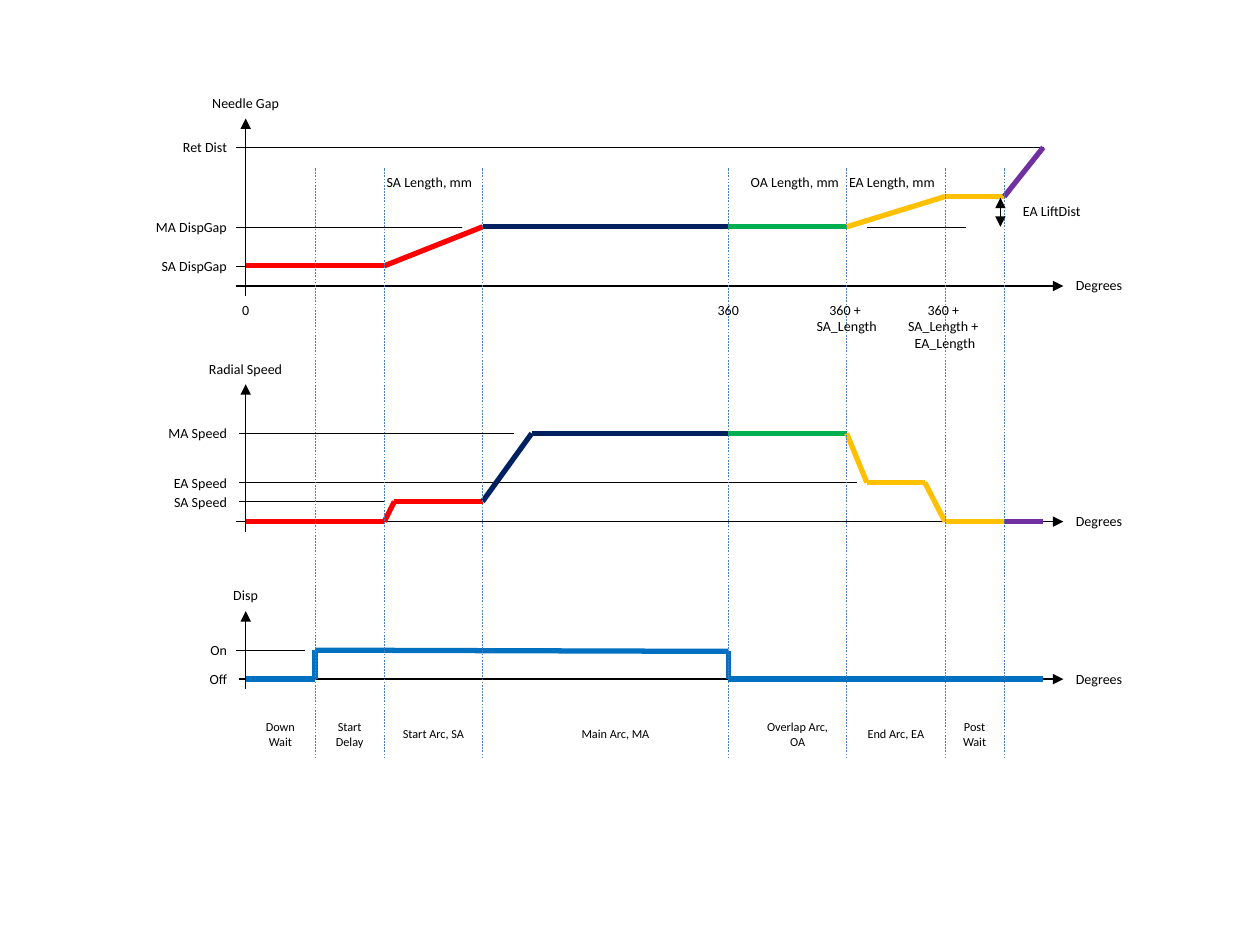
from itertools import pairwise
from lxml import etree
from pptx import Presentation
from pptx.dml.color import RGBColor
from pptx.enum.dml import MSO_LINE
from pptx.enum.shapes import MSO_CONNECTOR
from pptx.enum.text import MSO_ANCHOR, PP_ALIGN
from pptx.oxml.ns import qn
from pptx.util import Inches, Pt

LEFT, MID, RIGHT = PP_ALIGN.LEFT, PP_ALIGN.CENTER, PP_ALIGN.RIGHT
TOP, CENTER = MSO_ANCHOR.TOP, MSO_ANCHOR.MIDDLE
DASH, DOT = MSO_LINE.DASH, MSO_LINE.ROUND_DOT
STRAIGHT = MSO_CONNECTOR.STRAIGHT

THEME = {
    "font": "Calibri", "label": 8, "phase": 7,
    "thin": 0.25, "axis": 0.75, "trace": 3,
    "ink": "000000", "guide": "4B7EBC",
    "start": "FF0000", "main": "002060", "over": "00B050",
    "end": "FFC000", "lift": "7030A0", "disp": "0070C0",
}

# Phase borders along the shared degree axis
DOWN, DELAY, START, MAIN, OVER, END, POST, LAST = (
    1.95, 2.5, 3.05, 3.83, 5.78, 6.72, 7.5, 7.97)
STOP, TIP = 8.28, 8.44
GUIDES = (DELAY, START, MAIN, OVER, END, POST, LAST)
SPLIT = 5.94  # where the Main Arc label ends and the Overlap Arc label starts

PHASES = [
    (DOWN, DELAY, "Down\nWait"), (DELAY, START, "Start Delay"),
    (START, MAIN, "Start Arc, SA"), (MAIN, SPLIT, "Main Arc, MA"),
    (SPLIT, END, "Overlap Arc, OA"), (END, POST, "End Arc, EA"),
    (POST, LAST, "Post\nWait"),
]

# levels: name, y, dotted line from, to; traces: colour, points
CHARTS = [
    {"title": "Needle Gap", "top": 0.94, "base": 2.27, "left": 1.87,
     "levels": [("SA DispGap", 2.11, 1.87, DOWN),
                ("MA DispGap", 1.8, 1.87, 3.67),
                ("Ret Dist", 1.17, 1.87, STOP)],
     "traces": [("start", [(DOWN, 2.11), (START, 2.11), (MAIN, 1.8)]),
                ("main", [(MAIN, 1.8), (OVER, 1.8)]),
                ("over", [(OVER, 1.8), (END, 1.8)]),
                ("end", [(END, 1.8), (POST, 1.56), (LAST, 1.56)]),
                ("lift", [(LAST, 1.56), (STOP, 1.17)])]},
    {"title": "Radial Speed", "top": 3.05, "base": 4.14, "left": 1.87,
     "levels": [("SA Speed", 3.98, 1.9, START),
                ("EA Speed", 3.83, 1.9, 6.8),
                ("MA Speed", 3.44, 1.9, 4.07)],
     "traces": [("start", [(DOWN, 4.14), (START, 4.14),
                           (3.13, 3.98), (MAIN, 3.98)]),
                ("main", [(MAIN, 3.98), (4.22, 3.44), (OVER, 3.44)]),
                ("over", [(OVER, 3.44), (END, 3.44)]),
                ("end", [(END, 3.44), (6.88, 3.83), (7.34, 3.83),
                         (POST, 4.14), (LAST, 4.14)]),
                ("lift", [(LAST, 4.14), (STOP, 4.14)])]},
    {"title": "Disp", "top": 4.85, "base": 5.39, "left": 1.9,
     "levels": [("On", 5.16, 1.87, 2.42), ("Off", 5.39, None, None)],
     "traces": [("disp", [(DOWN, 5.39), (DELAY, 5.39), (DELAY, 5.16),
                          (OVER, 5.17), (OVER, 5.39), (STOP, 5.39)])]},
]

SPANS = [(2.97, 0.89, "SA Length, mm"), (5.86, 0.94, "OA Length, mm"),
         (6.64, 0.94, "EA Length, mm")]
TICKS = [(DOWN, "0"), (OVER, "360"), (END, "360 + \nSA_Length"),
         (POST, "360 + \nSA_Length + \nEA_Length")]

deck = Presentation()
deck.slide_width, deck.slide_height = Inches(10), Inches(7.5)
slide = deck.slides.add_slide(deck.slide_layouts[6])


def write(text, x, y, w, h, size="label", align=LEFT, anchor=CENTER):
    box = slide.shapes.add_textbox(*map(Inches, (x, y, w, h)))
    frame = box.text_frame
    frame.word_wrap, frame.vertical_anchor = True, anchor
    frame.text = text
    for para in frame.paragraphs:
        para.alignment = align
        font = para.runs[0].font
        font.name, font.size = THEME["font"], Pt(THEME[size])
        font.color.rgb = RGBColor.from_string(THEME["ink"])


def draw(start, end, color="ink", width="axis", dash=None, arrows=()):
    """Arrows may name headEnd (at start) and tailEnd (at end), in that order."""
    wire = slide.shapes.add_connector(STRAIGHT, *map(Inches, (*start, *end)))
    line = wire.line
    line.color.rgb = RGBColor.from_string(THEME[color])
    line.width = Pt(THEME[width])
    if dash:
        line.dash_style = dash
    props = wire.element.find(qn("p:spPr"))
    for name in arrows:
        etree.SubElement(props.find(qn("a:ln")), qn("a:" + name), type="triangle")
    etree.SubElement(props, qn("a:effectLst"))


def plot(chart):
    top, base = chart["top"], chart["base"]
    write(chart["title"], DOWN - 0.47, top - 0.24, 0.94, 0.24,
          align=MID, anchor=TOP)
    draw((DOWN, base + 0.08), (DOWN, top), arrows=["tailEnd"])
    draw((chart["left"], base), (TIP, base), arrows=["tailEnd"])
    write("Degrees", TIP, base - 0.16, 0.94, 0.31)
    for name, y, x1, x2 in chart["levels"]:
        write(name, 1.01, y - 0.08, 0.89, 0.16, align=RIGHT)
        if x1:
            draw((x1, y), (x2, y), width="thin", dash=DOT)
    for color, points in chart["traces"]:
        for start, end in pairwise(points):
            draw(start, end, color, "trace")


for chart in CHARTS:
    plot(chart)

for x in GUIDES:
    draw((x, 6.02), (x, 1.33), "guide", "thin", DASH)
for x1, x2, name in PHASES:
    write(name, x1, 5.63, x2 - x1, 0.39, size="phase", align=MID)

for x, w, text in SPANS:
    write(text, x, 1.33, w, 0.24, anchor=TOP)
for x, text in TICKS:
    rows = text.count("\n") + 1
    write(text, x - 0.47, 2.34, 0.94, 0.1 + 0.13 * rows, align=MID, anchor=TOP)

draw((6.88, 1.8), (7.66, 1.8), width="thin", dash=DOT)
draw((7.94, 1.8), (7.94, 1.57), arrows=["headEnd", "tailEnd"])
write("EA LiftDist", 8.02, 1.56, 0.89, 0.23)

deck.save("out.pptx")
